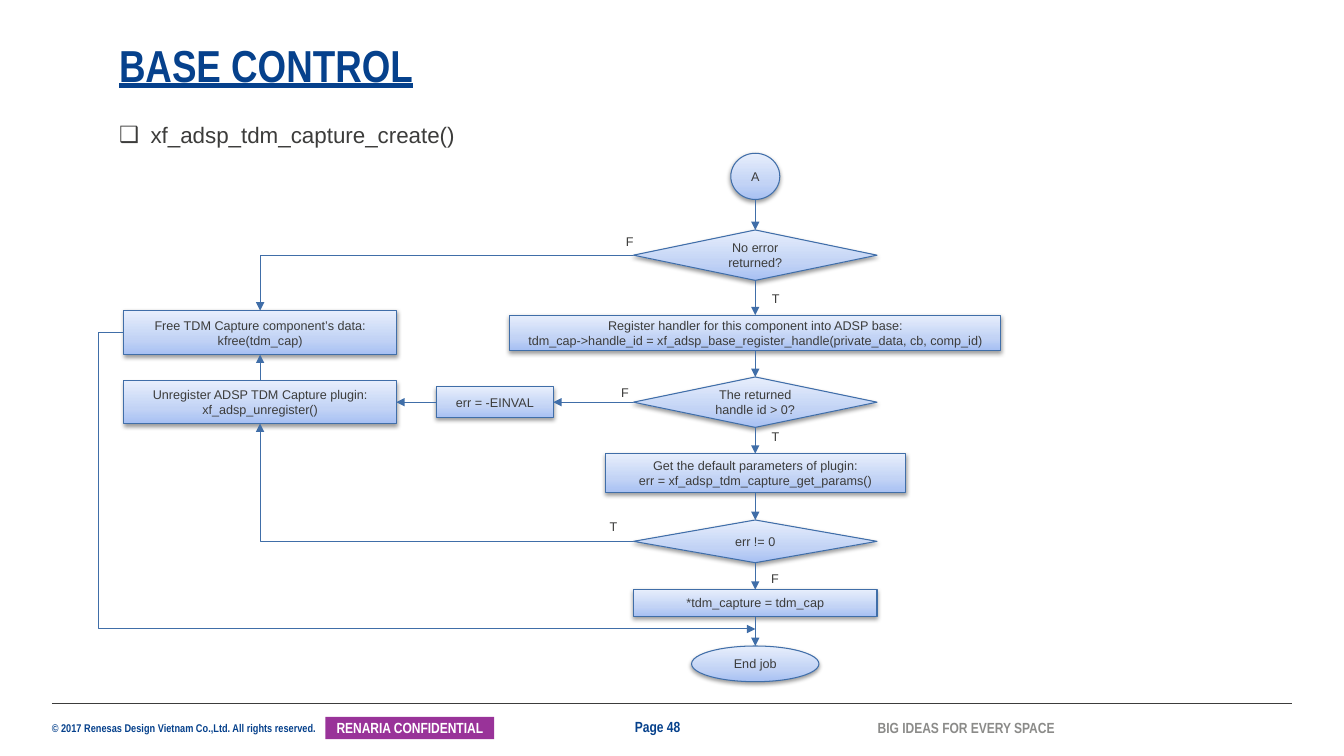
from copy import deepcopy

from pptx import Presentation
from pptx.dml.color import RGBColor
from pptx.enum.shapes import MSO_CONNECTOR, MSO_SHAPE
from pptx.enum.text import MSO_ANCHOR, MSO_AUTO_SIZE, PP_ALIGN
from pptx.oxml.ns import qn
from pptx.oxml.xmlchemy import OxmlElement
from pptx.util import Pt

RECT, OVAL, DECISION = MSO_SHAPE.RECTANGLE, MSO_SHAPE.OVAL, MSO_SHAPE.FLOWCHART_DECISION
STRAIGHT, ELBOW = MSO_CONNECTOR.STRAIGHT, MSO_CONNECTOR.ELBOW
TOP, LEFT, BOTTOM, RIGHT = range(4)
MIDDLE, LOW, HIGH = MSO_ANCHOR.MIDDLE, MSO_ANCHOR.BOTTOM, MSO_ANCHOR.TOP
CENTER, START = PP_ALIGN.CENTER, PP_ALIGN.LEFT

NAVY, INK, GREY, PURPLE, WHITE = "06418C", "3C3C3B", "8B8B89", "993399", "FFFFFF"
EDGE = "406EA8"
GRADIENT = [(0, "A7C0F3"), (0.35, "C2D3F5"), (1, "E7EEFC")]

NARROW = {"name": "Arial Narrow", "bold": True}
TITLE_FONT = {**NARROW, "size": Pt(32), "underline": True, "color": NAVY}
BODY_FONT = {"name": "Arial", "size": Pt(16), "color": INK}
FLOW_FONT = {"name": "Arial", "size": Pt(9), "color": INK}
FOOTER_FONT = {**NARROW, "size": Pt(10.5)}

TITLE = "BASE CONTROL"
FUNCTION = "xf_adsp_tdm_capture_create()"

MAIN_X, LEFT_X, ERROR_X = 539.5, 185.8, 353.5
# step: (outline, centre x, centre y, width, height, lines)
STEPS = {
    "start": (OVAL, MAIN_X, 126, 35, 33, ["A"]),
    "no error": (DECISION, MAIN_X, 182.3, 174, 36, ["No error returned?"]),
    "register": (RECT, MAIN_X, 237.6, 351, 25, [
        "Register handler for this component into ADSP base:",
        "tdm_cap->handle_id = xf_adsp_base_register_handle(private_data, cb, comp_id)"]),
    "handle": (DECISION, MAIN_X, 287.3, 174, 36, ["The returned handle id > 0?"]),
    "params": (RECT, MAIN_X, 338, 214.5, 28, [
        "Get the default parameters of plugin:", "err = xf_adsp_tdm_capture_get_params()"]),
    "err": (DECISION, MAIN_X, 386.7, 174, 30.5, ["err != 0"]),
    "assign": (RECT, MAIN_X, 430.7, 174, 19, ["*tdm_capture = tdm_cap"]),
    "end": (OVAL, MAIN_X, 474.2, 91, 25.5, ["End job"]),
    "free": (RECT, LEFT_X, 237.6, 194.5, 31.5, [
        "Free TDM Capture component’s data:", "kfree(tdm_cap)"]),
    "unregister": (RECT, LEFT_X, 287.3, 194.5, 30.5, [
        "Unregister ADSP TDM Capture plugin: xf_adsp_unregister()"]),
    "einval": (RECT, ERROR_X, 287.3, 83.5, 22, ["err = -EINVAL"]),
}
MAIN_FLOW = ["start", "no error", "register", "handle", "params", "err", "assign", "end"]
SIDE_FLOW = [("handle", LEFT, "einval", RIGHT), ("einval", LEFT, "unregister", RIGHT),
             ("unregister", TOP, "free", BOTTOM)]
CORNERS = [("no error", LEFT, "free", TOP), ("err", LEFT, "unregister", BOTTOM)]
MERGE_Y, DETOUR = 449.3, 18
# branch label, left, top
BRANCHES = [("T", 544.3, 203.9), ("T", 544, 302.6), ("F", 440, 163.7), ("F", 436.5, 271.7),
            ("F", 543.7, 404.2), ("T", 428.3, 366.8)]

COPYRIGHT = "© 2017 Renesas Design Vietnam Co.,Ltd. All rights reserved."
# footer text, box, font changes
FOOTER = [
    (COPYRIGHT, (37, 515.5, 192, 9.5), {"size": Pt(8), "color": NAVY}),
    ("Page 48", (453.6, 512.6, 52.5, 13), {"color": NAVY}),
    ("BIG IDEAS FOR EVERY SPACE", (627, 513.4, 130, 13), {"color": GREY}),
]
CONFIDENTIAL = "RENARIA CONFIDENTIAL"


def color(hex_string):
    return RGBColor.from_string(hex_string)


def element(tag, **attributes):
    node = OxmlElement(tag)
    for name, value in attributes.items():
        node.set(name, str(value))
    return node


def write(shape, lines, font, align=START, anchor=MIDDLE, margins=(0, 0), wrap=True):
    """Fill a shape with one paragraph per line; margins are (side, top and bottom)."""
    frame = shape.text_frame
    side, edge = map(Pt, margins)
    layout = {"word_wrap": wrap, "auto_size": MSO_AUTO_SIZE.NONE, "vertical_anchor": anchor,
              "margin_left": side, "margin_right": side,
              "margin_top": edge, "margin_bottom": edge}
    for name, value in layout.items():
        setattr(frame, name, value)
    for index, line in enumerate(lines):
        paragraph = frame.add_paragraph() if index else frame.paragraphs[0]
        paragraph.alignment = align
        run = paragraph.add_run()
        run.text = line
        for name, value in font.items():
            if name == "color":
                run.font.color.rgb = color(value)
            else:
                setattr(run.font, name, value)
    return frame.paragraphs[0]


def place(shape, box):
    for name, value in zip(("left", "top", "width", "height"), box):
        setattr(shape, name, Pt(value))


def add_step(outline, x, y, width, height, lines):
    shape = shapes.add_shape(outline, Pt(x - width / 2), Pt(y - height / 2), Pt(width), Pt(height))
    shape.fill.gradient()
    shape.fill.gradient_angle = 90
    properties = shape._element.spPr
    stops = properties.find(".//" + qn("a:gsLst"))
    stops.append(deepcopy(stops[0]))
    for stop, (position, tint) in zip(shape.fill.gradient_stops, GRADIENT):
        stop.position = position
        stop.color.rgb = color(tint)
    shape.line.color.rgb = color(EDGE)
    shape.line.width = Pt(0.75)
    shape.shadow.inherit = False
    shadow = element("a:outerShdw", blurRad=Pt(3.1), dist=Pt(1.6), dir=5400000, rotWithShape=0)
    black = element("a:srgbClr", val="000000")
    black.append(element("a:alpha", val=38000))
    shadow.append(black)
    properties.find(qn("a:effectLst")).append(shadow)
    write(shape, lines, FLOW_FONT, CENTER, margins=(7.2, 3.6))
    return shape


def side_point(step, side):
    _, x, y, width, height, _ = STEPS[step]
    dx, dy = {TOP: (0, -1), LEFT: (-1, 0), BOTTOM: (0, 1), RIGHT: (1, 0)}[side]
    return x + dx * width / 2, y + dy * height / 2


def add_line(kind, begin, end, tint=EDGE, width=0.75, arrow=True):
    line = shapes.add_connector(kind, *map(Pt, (*begin, *end)))
    line.line.color.rgb = color(tint)
    line.line.width = Pt(width)
    if arrow:
        line.line._get_or_add_ln().append(element("a:tailEnd", type="triangle"))
    line._element.spPr.append(element("a:effectLst"))
    return line


presentation = Presentation()
presentation.slide_width, presentation.slide_height = Pt(960), Pt(540)
slide = presentation.slides.add_slide(presentation.slide_layouts[1])
shapes = slide.shapes

title, body = shapes.title, slide.placeholders[1]
place(title, (85, 31.7, 780, 34.5))
write(title, [TITLE], TITLE_FONT, anchor=LOW).line_spacing = 0.9
place(body, (85, 82.8, 469, 23))
bullet = write(body, [FUNCTION], BODY_FONT, anchor=HIGH)
bullet.line_spacing, bullet.space_before, bullet.space_after = 1.2, Pt(0), Pt(8)
bullet_format = bullet._p.get_or_add_pPr()
bullet_format.set("marL", str(Pt(22.5)))
bullet_format.set("indent", str(-Pt(22.5)))
bullet_color = element("a:buClr")
bullet_color.append(element("a:srgbClr", val=INK))
for part in (bullet_color, element("a:buFont", typeface="Arial"), element("a:buChar", char="❑")):
    bullet_format.append(part)

steps = {name: add_step(*step) for name, step in STEPS.items()}

down_flow = [(upper, BOTTOM, lower, TOP) for upper, lower in zip(MAIN_FLOW, MAIN_FLOW[1:])]
for source, exit_side, target, entry_side in down_flow + SIDE_FLOW:
    arrow = add_line(STRAIGHT, side_point(source, exit_side), side_point(target, entry_side))
    if STEPS[source][0] != OVAL:
        arrow.begin_connect(steps[source], exit_side)
    arrow.end_connect(steps[target], entry_side)

for source, exit_side, target, entry_side in CORNERS:
    corner = add_line(ELBOW, side_point(source, exit_side), side_point(target, entry_side))
    corner._element.spPr.find(qn("a:prstGeom")).set("prst", "bentConnector2")

free_exit = side_point("free", LEFT)
merge = add_line(ELBOW, free_exit, (MAIN_X, MERGE_Y))
bend = round(-DETOUR / (MAIN_X - free_exit[0]) * 100000)
merge._element.spPr.find(".//" + qn("a:avLst")).append(
    element("a:gd", name="adj1", fmla=f"val {bend}"))

for label, left, top in BRANCHES:
    branch = shapes.add_textbox(Pt(left), Pt(top), Pt(23), Pt(18))
    write(branch, [label], FLOW_FONT, anchor=HIGH, margins=(7.2, 3.6))

add_line(STRAIGHT, (37, 502.7), (923, 502.7), INK, 0.5, arrow=False)
for words, box, changes in FOOTER:
    note = shapes.add_textbox(*map(Pt, box))
    write(note, [words], {**FOOTER_FONT, **changes}, wrap=words != COPYRIGHT)
badge = shapes.add_shape(RECT, *map(Pt, (232.5, 512, 120.5, 16)))
badge.fill.solid()
badge.fill.fore_color.rgb = color(PURPLE)
badge.line.fill.background()
badge.shadow.inherit = False
write(badge, [CONFIDENTIAL], {**FOOTER_FONT, "color": WHITE}, CENTER, margins=(3, 0))

presentation.save("out.pptx")
